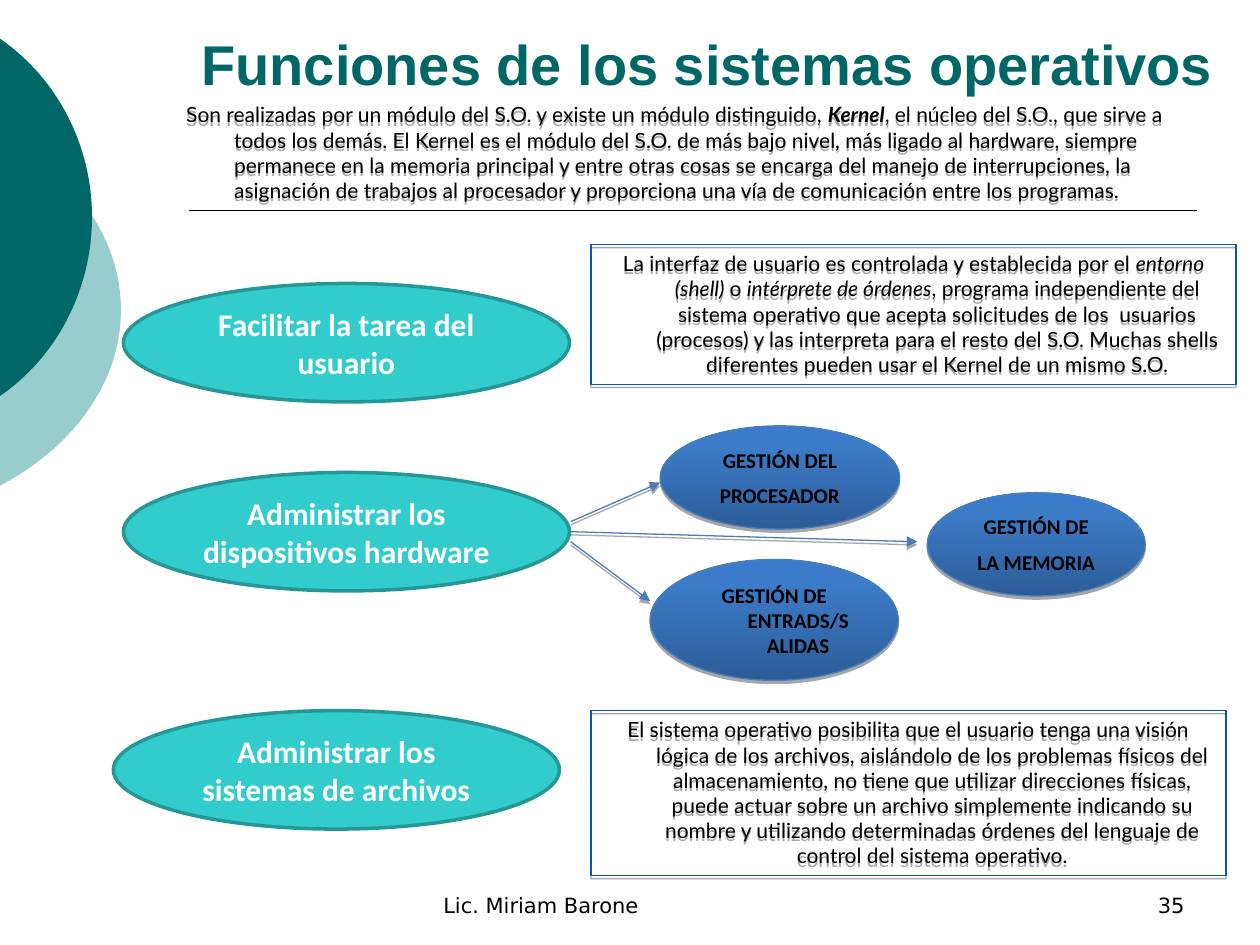
from copy import deepcopy
from lxml import etree
from pptx import Presentation, util as u
from pptx.dml.color import RGBColor
from pptx.enum import shapes as sh, text as tx
from pptx.oxml.ns import qn

BLACK = RGBColor(0, 0, 0)
WHITE = RGBColor(255, 255, 255)
TEAL = RGBColor(0x00, 0x66, 0x66)
PALE = RGBColor(0x99, 0xCC, 0xCC)
AQUA = RGBColor(0x33, 0xCC, 0xCC)
RIM = RGBColor(0x26, 0x97, 0x97)
FRAME = RGBColor(0x07, 0x57, 0xAF)
BLUE = RGBColor(0x4A, 0x7E, 0xBB)
STOPS = [(0, RGBColor(0x2C, 0x5D, 0x98)), (0.8, RGBColor(0x3C, 0x7B, 0xC7)),
         (1, RGBColor(0x3A, 0x7C, 0xCB))]

OVAL, RECT = sh.MSO_SHAPE.OVAL, sh.MSO_SHAPE.RECTANGLE
LEFT, MID, RIGHT = tx.PP_ALIGN.LEFT, tx.PP_ALIGN.CENTER, tx.PP_ALIGN.RIGHT
TOP, CORE, LOW = tx.MSO_ANCHOR.TOP, tx.MSO_ANCHOR.MIDDLE, tx.MSO_ANCHOR.BOTTOM

HEAD = {"size": 32, "name": "Arial", "color": TEAL, "bold": True}
FOOT = {"size": 12, "name": "DejaVu Sans", "color": BLACK}
BODY = {"size": 12, "name": "Lato", "color": BLACK}
GOAL = {"size": 18, "name": "Calibri", "color": WHITE, "bold": True}
TASK = {"size": 12, "name": "Calibri", "color": BLACK, "bold": True}
ITAL = {"italic": True}

DISCS = [
    ((-3.54, 0.75, 4.5, 3.42), PALE,
     [(-0.01, 1.06), (0.6, 1.38), (0.96, 1.9), (0.96, 2.46),
      (0.96, 3.02), (0.6, 3.54), (-0.01, 3.86)]),
    ((-2.65, 0, 3.38, 3.45), TEAL,
     [(-0.01, 0.3), (0.46, 0.62), (0.73, 1.16), (0.73, 1.72),
      (0.73, 2.29), (0.46, 2.83), (-0.01, 3.15)]),
]
LABELS = [
    ((3.42, 6.83, 3.17, 0.5), "Lic. Miriam Barone", FOOT, LEFT),
    ((7.17, 6.83, 2.33, 0.5), "35", FOOT, RIGHT),
    ((1.5, 0, 8.5, 0.82), "Funciones de los sistemas operativos", HEAD, LEFT),
]
GOALS = [
    (0.98, 2.25, "Facilitar la tarea del usuario"),
    (0.9, 5.64, "Administrar los sistemas de archivos"),
    (0.98, 3.75, "Administrar los dispositivos hardware"),
]
INTRO = [
    ("Son realizadas por un módulo del S.O. y existe un módulo distinguido, ", {}),
    ("Kernel", {"bold": True, "italic": True}),
    (", el núcleo del S.O., que sirve a todos los demás. El Kernel es el módulo del "
     "S.O. de más bajo nivel, más ligado al hardware, siempre permanece en la memoria "
     "principal y entre otras cosas se encarga del manejo de interrupciones, la "
     "asignación de trabajos al procesador y proporciona una vía de comunicación "
     "entre los programas.", {}),
]
NOTES = [
    ((4.69, 1.94, 5.12, 1.11), [
        ("La interfaz de usuario es controlada y establecida por el ", {}),
        ("entorno (shell) ", ITAL),
        ("o ", {}),
        ("intérprete de órdenes", ITAL),
        (", programa independiente del sistema operativo que acepta solicitudes de "
         "los  usuarios (procesos) y las interpreta para el resto del S.O. Muchas "
         "shells diferentes pueden usar el Kernel de un mismo S.O.", {})]),
    ((4.69, 5.64, 5.04, 1.31), [
        ("El sistema operativo posibilita que el usuario tenga una visión lógica de "
         "los archivos, aislándolo de los problemas físicos del almacenamiento, no "
         "tiene que utilizar direcciones físicas, puede actuar sobre un archivo "
         "simplemente indicando su nombre y utilizando determinadas órdenes del "
         "lenguaje de control del sistema operativo.", {})]),
]
TASKS = [
    ((5.24, 3.38, 1.9, 0.82), ["GESTIÓN DEL", "PROCESADOR"], False),
    ((7.36, 3.91, 1.73, 0.82), ["GESTIÓN DE", "LA MEMORIA"], False),
    ((5.16, 4.44, 1.97, 0.96), ["GESTIÓN DE ENTRADS/SALIDAS"], True),
]
ARROWS = [(4.14, 5.24, 3.83), (4.22, 7.28, 4.3), (4.3, 5.16, 4.77)]


def inch(box):
    return [u.Inches(v) for v in box]


def style(font, form):
    for key, val in form.items():
        if key == "color":
            font.color.rgb = val
        else:
            setattr(font, key, u.Pt(val) if key == "size" else val)


def write(shape, paras, form, align=MID, anchor=CORE, hang=False, grow=False, wrap=True):
    frame = shape.text_frame
    frame.word_wrap = wrap
    frame.vertical_anchor = anchor
    frame.auto_size = tx.MSO_AUTO_SIZE.SHAPE_TO_FIT_TEXT if grow else tx.MSO_AUTO_SIZE.NONE
    for i, runs in enumerate(paras):
        para = frame.add_paragraph() if i else frame.paragraphs[0]
        para.alignment = align
        para.space_before = u.Pt(form["size"] / 2 if i else 0)
        if hang:
            props = para._p.get_or_add_pPr()
            props.set("marL", str(u.Inches(0.38)))
            props.set("indent", str(u.Inches(-0.38)))
        for words, extra in runs:
            run = para.add_run()
            run.text = words
            style(run.font, {**form, **extra})


def shade(shape, cast=True):
    props = shape._element.spPr
    fx = props.find(qn("a:effectLst"))
    if fx is None:
        fx = etree.SubElement(props, qn("a:effectLst"))
    if cast:
        drop = etree.SubElement(fx, qn("a:outerShdw"), dist=str(u.Pt(1.8)),
                                dir="5400000", rotWithShape="0")
        tint = etree.SubElement(drop, qn("a:srgbClr"), val="000000")
        etree.SubElement(tint, qn("a:alpha"), val="35000")


def draw(kind, box, line, width, fill=None):
    shape = page.shapes.add_shape(kind, *inch(box))
    shape.shadow.inherit = False
    shape.line.color.rgb = line
    shape.line.width = u.Pt(width)
    if fill is None:
        shape.fill.background()
    else:
        shape.fill.solid()
        shape.fill.fore_color.rgb = fill
    return shape


def blend(shape):
    fill = shape.fill
    fill.gradient()
    fill.gradient_angle = 90
    stops = next(shape._element.spPr.iter(qn("a:gsLst")))
    stops.append(deepcopy(stops[-1]))
    for stop, (pos, tint) in zip(fill.gradient_stops, STOPS):
        stop.position = pos
        stop.color.rgb = tint


def rule(ends, color, width, arrow=False):
    line = page.shapes.add_connector(sh.MSO_CONNECTOR.STRAIGHT, *inch(ends))
    line.line.color.rgb = color
    line.line.width = u.Pt(width)
    if arrow:
        etree.SubElement(line.line._get_or_add_ln(), qn("a:tailEnd"), type="triangle")
    shade(line, arrow)


def disc(box, color, dots):
    dots = [inch(dot) for dot in dots]
    pen = page.shapes.build_freeform(*dots[0], scale=1)
    pen.add_line_segments(dots[1:], close=True)
    shape = pen.convert_to_shape()
    shape.left, shape.top, shape.width, shape.height = inch(box)
    curve = next(shape._element.iter(qn("a:path")))
    curve.set("w", str(shape.width))
    curve.set("h", str(shape.height))
    for pt, (x, y) in zip(curve.iter(qn("a:pt")), dots):
        pt.set("x", str(x - shape.left))
        pt.set("y", str(y - shape.top))
    legs = curve.findall(qn("a:lnTo"))
    for i in range(0, len(legs), 3):
        bend = etree.Element(qn("a:cubicBezTo"))
        legs[i].addprevious(bend)
        for leg in legs[i:i + 3]:
            bend.append(leg[0])
            curve.remove(leg)
    shape.shadow.inherit = False
    shape.fill.solid()
    shape.fill.fore_color.rgb = color
    shape.line.fill.background()


deck = Presentation()
deck.slide_width, deck.slide_height = inch((10, 7.5))
page = deck.slides.add_slide(deck.slide_layouts[6])

for item in DISCS:
    disc(*item)
rule((1.5, 1.67, 9.5, 1.67), BLACK, 1)

for box, words, form, align in LABELS:
    write(page.shapes.add_textbox(*inch(box)), [[(words, {})]], form, align, LOW)

for x, y, words in GOALS:
    write(draw(OVAL, (x, y, 3.54, 0.94), RIM, 2, AQUA), [[(words, {})]], GOAL)

intro = page.shapes.add_textbox(*inch((1.38, 0.76, 8.27, 0.9)))
write(intro, [INTRO], BODY, LEFT, TOP, True, True)
shade(intro)

for box, runs in NOTES:
    note = draw(RECT, box, FRAME, 0.75)
    write(note, [runs], BODY, MID, TOP, True, True)
    shade(note)

for box, lines, wrap in TASKS:
    task = draw(OVAL, box, BLUE, 0.75)
    blend(task)
    write(task, [[(s, {})] for s in lines], TASK, MID, CORE, True, True, wrap)
    shade(task)

for y, x2, y2 in ARROWS:
    rule((4.53, y, x2, y2), BLUE, 0.75, True)

deck.save("out.pptx")
